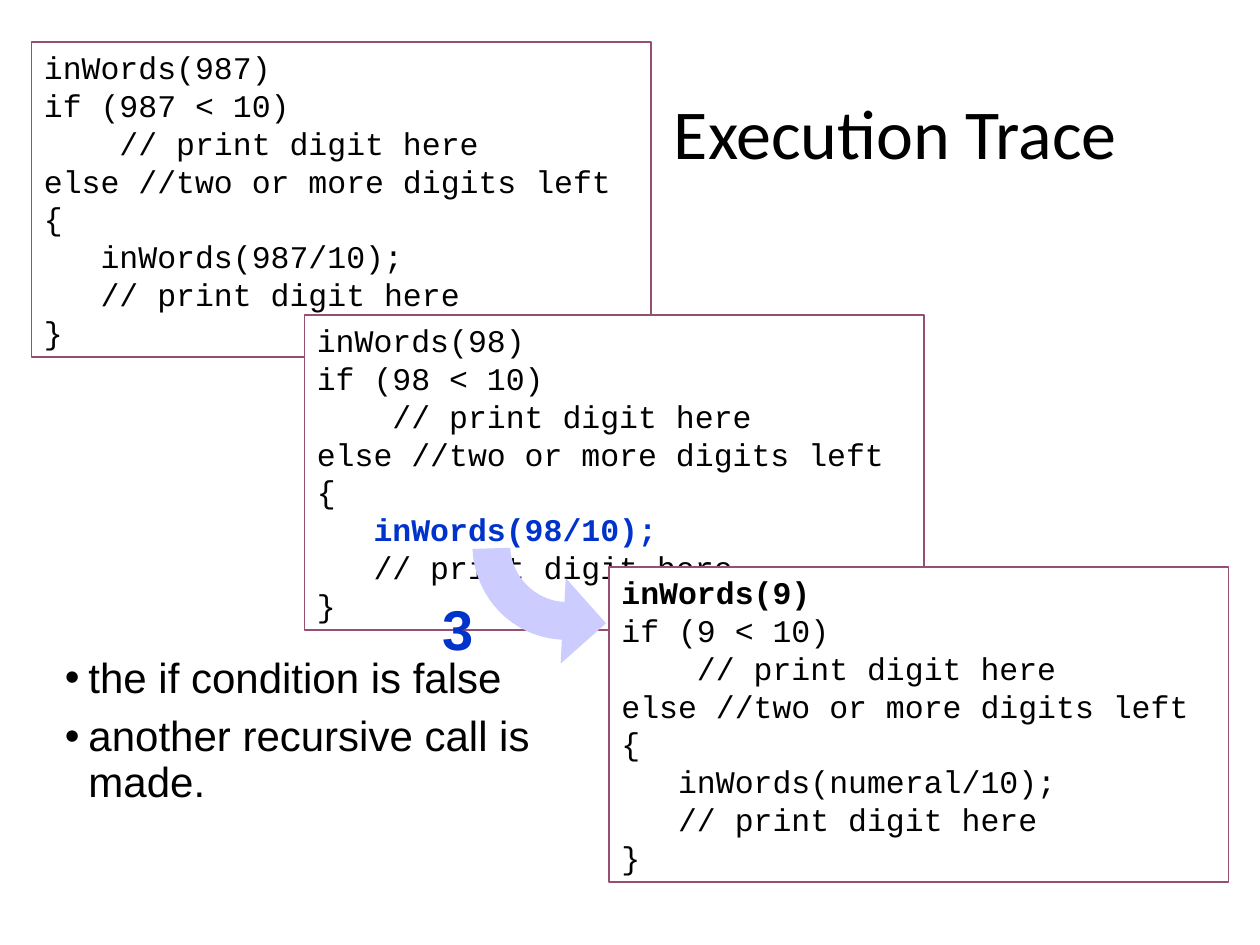
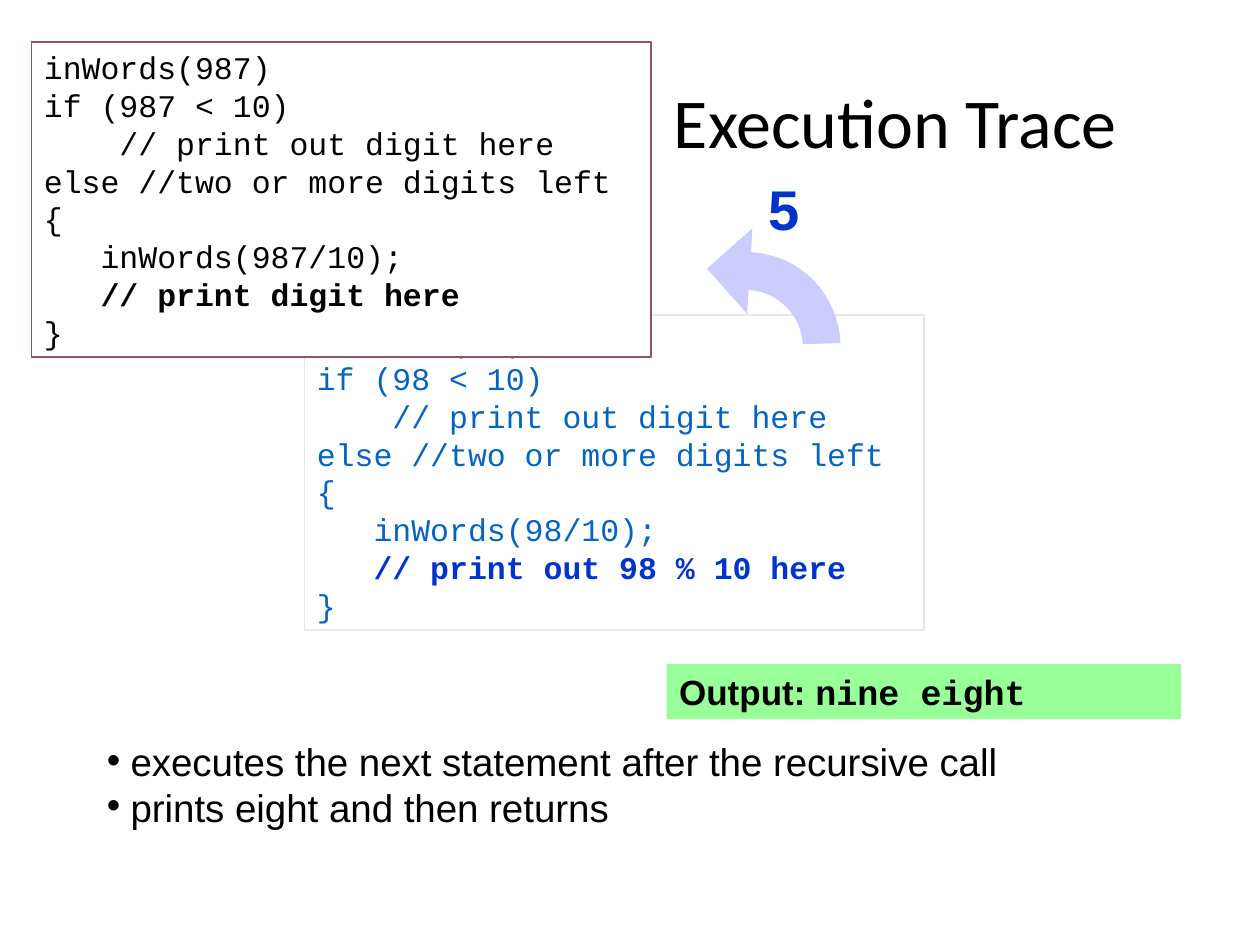
from lxml import etree
from pptx import Presentation
from pptx.dml.color import RGBColor
from pptx.enum.shapes import MSO_SHAPE
from pptx.enum.text import MSO_ANCHOR, PP_ALIGN
from pptx.oxml.ns import qn
from pptx.util import Pt

RECTANGLE = MSO_SHAPE.RECTANGLE
TOP, MIDDLE = MSO_ANCHOR.TOP, MSO_ANCHOR.MIDDLE
LEFT = PP_ALIGN.LEFT

BLACK, WHITE = "000000", "FFFFFF"
PLUM, PALE_GREY = "954F72", "E7E6E6"
STRONG_BLUE, LINK_BLUE = "0033CC", "0563C1"
LILAC, LIGHT_GREEN = "CCCCFF", "99FF99"
SANS, MONO, TITLE_FONT = "Arial", "Courier New", "Calibri"

# Left and top of the frames for 987, 98 and 9
FIRST_CALL, SECOND_CALL, THIRD_CALL = (18, 24), (174, 180), (348, 324)
FRAME_SIZE = (354, 180)


def color(hex_value):
    return RGBColor.from_string(hex_value)


def add_run(paragraph, text, font, size, hex_value=BLACK, bold=False):
    run = paragraph.add_run()
    run.text = text
    run.font.name = font
    run.font.size = Pt(size)
    run.font.bold = bold
    run.font.color.rgb = color(hex_value)


def add_panel(slide, box, fill=None, line=None, anchor=TOP):
    """Add a rectangle ready for left-aligned text and return its text frame."""
    panel = slide.shapes.add_shape(RECTANGLE, *map(Pt, box))
    panel.shadow.inherit = False
    if fill:
        panel.fill.solid()
        panel.fill.fore_color.rgb = color(fill)
    else:
        panel.fill.background()
    if line:
        panel.line.color.rgb = color(line)
        panel.line.width = Pt(1)
    else:
        panel.line.fill.background()
    frame = panel.text_frame
    frame.word_wrap = True
    frame.vertical_anchor = anchor
    frame.paragraphs[0].alignment = LEFT
    return frame


def next_paragraph(frame, index):
    paragraph = frame.add_paragraph() if index else frame.paragraphs[0]
    paragraph.alignment = LEFT
    return paragraph


def add_title(slide, top):
    frame = add_panel(slide, (378, top, 312, 84), WHITE, anchor=MIDDLE)
    heading = frame.paragraphs[0]
    heading.line_spacing = 0.9
    add_run(heading, "Execution Trace", TITLE_FONT, 40)


def add_call_frame(slide, place, value, argument, strong_line=None,
                   early="print digit here", late="print digit here",
                   ink=BLACK, strong_ink=BLACK, border=PLUM):
    """Show the code of one call, with one statement in bold."""
    code = [
        f"inWords({value})",
        f"if ({value} < 10)",
        f"    // {early}",
        "else //two or more digits left",
        "{",
        f"   inWords({argument}/10);",
        f"   // {late}",
        "}",
    ]
    frame = add_panel(slide, place + FRAME_SIZE, WHITE, border)
    for index, statement in enumerate(code):
        strong = index == strong_line
        add_run(next_paragraph(frame, index), statement, MONO, 18,
                strong_ink if strong else ink, strong)


def add_bullets(slide, box, points, size, spacing):
    frame = add_panel(slide, box)
    for index, point in enumerate(points):
        paragraph = next_paragraph(frame, index)
        paragraph.line_spacing = spacing
        if index:
            paragraph.space_before = Pt(7.5)
        properties = paragraph._p.get_or_add_pPr()
        properties.set("marL", str(Pt(13.5)))
        properties.set("indent", str(-Pt(13.5)))
        bullet_color = etree.SubElement(properties, qn("a:buClr"))
        etree.SubElement(bullet_color, qn("a:srgbClr"), val=BLACK)
        etree.SubElement(properties, qn("a:buFont"), typeface=SANS)
        etree.SubElement(properties, qn("a:buChar"), char="•")
        add_run(paragraph, point, SANS, size)


def bezier(start, control_1, control_2, end, steps=16):
    """Points along a cubic curve, both ends included."""
    curve = []
    for step in range(steps + 1):
        t = step / steps
        weights = ((1 - t) ** 3, 3 * t * (1 - t) ** 2, 3 * t * t * (1 - t), t ** 3)
        curve.append(tuple(
            sum(w * p[axis] for w, p in zip(weights, (start, control_1, control_2, end)))
            for axis in (0, 1)))
    return curve


def add_curved_arrow(slide, left, top, rotation=0):
    inner = bezier((52.6, 31), (36, 30.2), (22.3, 16.6), (21.6, 0))
    outer = bezier((0, 0.7), (1.4, 28.8), (23, 51.1), (51.1, 52.6))
    head = [(50.4, 66.2), (76.3, 43.2), (53.3, 17.3)]
    outline = [(Pt(x), Pt(y)) for x, y in inner + outer + head]
    builder = slide.shapes.build_freeform(*outline[0])
    builder.add_line_segments(outline[1:], close=True)
    arrow = builder.convert_to_shape(Pt(left), Pt(top))
    arrow.rotation = rotation
    arrow.shadow.inherit = False
    arrow.fill.solid()
    arrow.fill.fore_color.rgb = color(LILAC)
    arrow.line.fill.background()


def add_step_number(slide, left, top, number):
    frame = add_panel(slide, (left, top, 36, 46))
    add_run(frame.paragraphs[0], number, SANS, 32, STRONG_BLUE, True)


def add_output(slide, box, words):
    line = add_panel(slide, box, LIGHT_GREEN).paragraphs[0]
    add_run(line, "Output: ", SANS, 20, bold=True)
    add_run(line, words, MONO, 20, bold=True)


def build_third_call(slide):
    add_title(slide, 36)
    add_bullets(slide, (30, 372, 300, 150),
                ["the if condition is false", "another recursive call is made."],
                24, 0.9)
    add_call_frame(slide, FIRST_CALL, "987", "987")
    add_call_frame(slide, SECOND_CALL, "98", "98", 5, strong_ink=STRONG_BLUE)
    add_call_frame(slide, THIRD_CALL, "9", "numeral", 0)
    add_curved_arrow(slide, 270, 313)
    add_step_number(slide, 246, 336, "3")


def build_return_to_first_call(slide):
    add_output(slide, (381, 379.5, 294, 31.5), "nine eight")
    add_title(slide, 30)
    add_bullets(slide, (54, 425.5, 627, 57),
                ["executes the next statement after the recursive call",
                 "prints eight and then returns"], 22, 0.7)
    add_call_frame(slide, SECOND_CALL, "98", "98", 6, "print out digit here",
                   "print out 98 % 10 here", LINK_BLUE, STRONG_BLUE, PALE_GREY)
    add_curved_arrow(slide, 404, 130.5, 180)
    add_step_number(slide, 432, 96, "5")
    add_call_frame(slide, FIRST_CALL, "987", "987", 6, "print out digit here")


def main():
    deck = Presentation()
    deck.slide_width, deck.slide_height = Pt(720), Pt(540)
    blank = deck.slide_layouts[6]
    for build in (build_third_call, build_return_to_first_call):
        build(deck.slides.add_slide(blank))
    deck.save("out.pptx")


if __name__ == "__main__":
    main()
